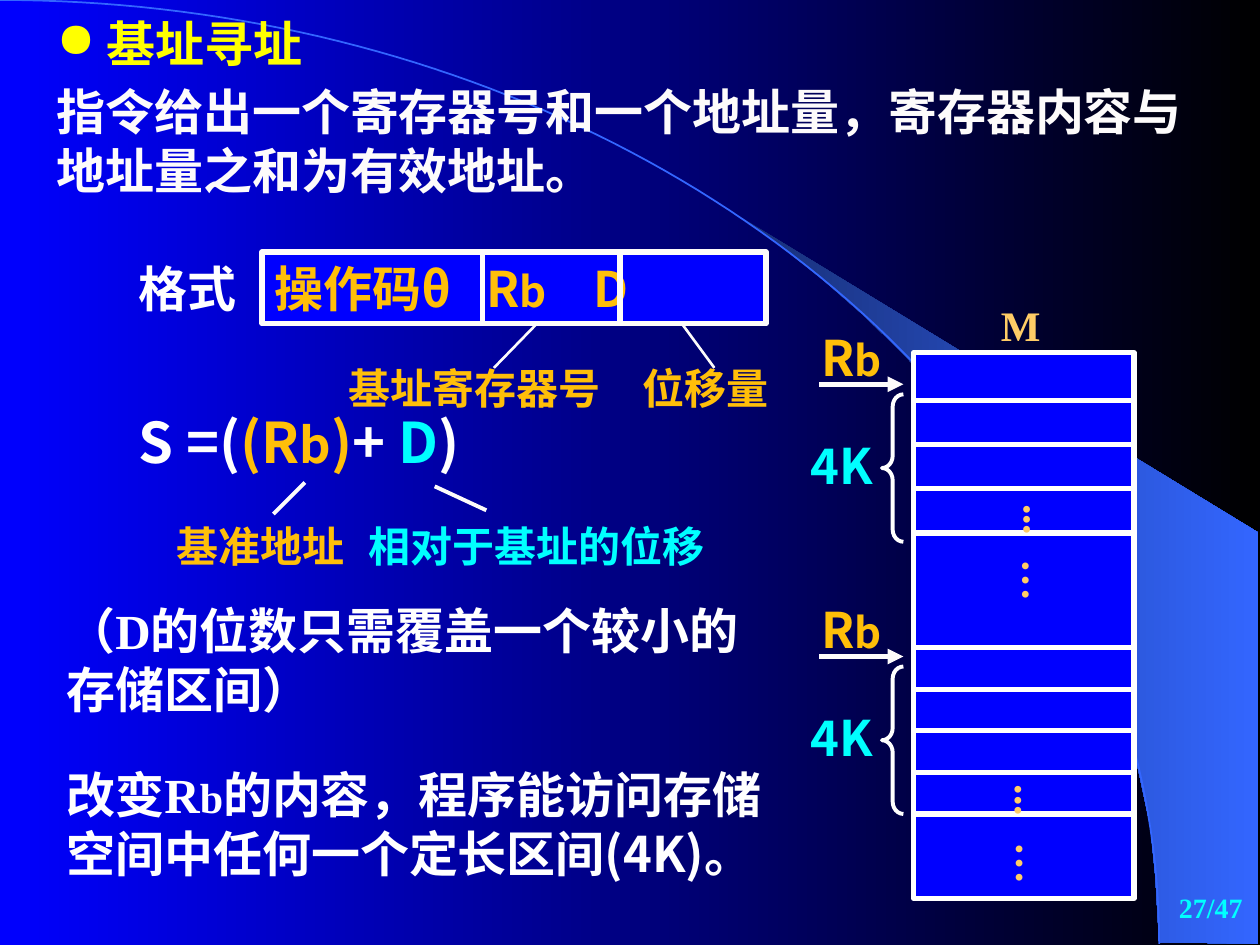
import math

import pptx
import pptx.dml.color
import pptx.enum.dml
import pptx.enum.shapes
import pptx.enum.text
import pptx.oxml.ns
import pptx.util
from lxml import etree

Inches = pptx.util.Inches
Pt = pptx.util.Pt
qn = pptx.oxml.ns.qn
Align = pptx.enum.text.PP_ALIGN
Anchor = pptx.enum.text.MSO_ANCHOR
AutoSize = pptx.enum.text.MSO_AUTO_SIZE
Preset = pptx.enum.shapes.MSO_SHAPE

COLORS = {
    "blue": "0000FF", "black": "000000", "navy": "182F76", "sky": "3366FF",
    "white": "FFFFFF", "line": "FDFBFB", "yellow": "FFFF00",
    "gold": "FFBF09", "sand": "FFCC66", "cyan": "00FFFF",
}
SANS = "Noto Sans CJK SC"
SERIF = "Times New Roman"
WEDGE = [
    (9.2, 7.48), (9.99, 7.49), (9.99, 4.23), (5.89, 1.73), (6.24, 1.99), (6.53, 2.22),
    (6.85, 2.5), (7.16, 2.8), (7.62, 3.3), (8.03, 3.84), (8.32, 4.31), (8.58, 4.79),
    (8.78, 5.28), (8.93, 5.72), (9.03, 6.09), (9.13, 6.56), (9.17, 6.96),
]
MEMORY_LEFT, MEMORY_RIGHT = 7.25, 9


def rgb(name):
    return pptx.dml.color.RGBColor.from_string(COLORS[name])


def set_gradient(fill, first, last):
    fill.gradient()
    fill.gradient_angle = 0
    for stop, name in zip(fill.gradient_stops, (first, last)):
        stop.color.rgb = rgb(name)


def set_line(shape, color, width):
    shape.line.color.rgb = rgb(color)
    shape.line.width = Pt(width)


def add_outline(slide, points, close):
    corners = [(Inches(x), Inches(y)) for x, y in points]
    builder = slide.shapes.build_freeform(*corners[0], scale=1.0)
    builder.add_line_segments(corners[1:], close=close)
    shape = builder.convert_to_shape()
    shape.shadow.inherit = False
    return shape


def add_line(slide, start, end, color="line", width=3, arrow=False):
    connector = slide.shapes.add_connector(
        pptx.enum.shapes.MSO_CONNECTOR.STRAIGHT, *map(Inches, start + end))
    set_line(connector, color, width)
    if arrow:
        etree.SubElement(connector.line._get_or_add_ln(), qn("a:tailEnd"), type="triangle")
    etree.SubElement(connector._element.spPr, qn("a:effectLst"))


def add_box(slide, box, preset=Preset.RECTANGLE, fill="blue", line="white", width=3):
    shape = slide.shapes.add_shape(preset, *map(Inches, box))
    shape.shadow.inherit = False
    if fill:
        shape.fill.solid()
        shape.fill.fore_color.rgb = rgb(fill)
    else:
        shape.fill.background()
    set_line(shape, line, width)
    return shape


def write_text(frame, runs, size=28, color="white", font=SERIF, align=Align.LEFT,
               spacing=None, bullet=None, tabs=()):
    """Fill a frame from a string or from (text, format changes) pairs."""
    frame.word_wrap = True
    paragraph = frame.paragraphs[0]
    paragraph.alignment = align
    if spacing:
        paragraph.line_spacing = spacing
    properties = paragraph._p.get_or_add_pPr()
    if bullet:
        bullet_color = etree.SubElement(properties, qn("a:buClr"))
        etree.SubElement(bullet_color, qn("a:srgbClr"), val=COLORS[color])
        etree.SubElement(properties, qn("a:buChar"), char=bullet)
    if tabs:
        tab_list = etree.SubElement(properties, qn("a:tabLst"))
        for position in tabs:
            etree.SubElement(tab_list, qn("a:tab"), pos=str(Inches(position)), algn="l")
    for text, changes in [(runs, {})] if isinstance(runs, str) else runs:
        run = paragraph.add_run()
        run.text = text
        run.font.bold = True
        run.font.size = Pt(changes.get("size", size))
        run.font.color.rgb = rgb(changes.get("color", color))
        run.font.name = changes.get("font", font)
        etree.SubElement(run.font._element, qn("a:ea"), typeface=SANS)


def add_text(slide, box, runs, anchor=Anchor.TOP, vertical=False, **text_format):
    frame = slide.shapes.add_textbox(*map(Inches, box)).text_frame
    frame.vertical_anchor = anchor
    frame.auto_size = AutoSize.SHAPE_TO_FIT_TEXT if anchor == Anchor.TOP else AutoSize.NONE
    if vertical:
        frame._txBody.bodyPr.set("vert", "eaVert")
        frame.margin_left = frame.margin_right = Inches(0.05)
        frame.margin_top = frame.margin_bottom = Inches(0.1)
    write_text(frame, runs, **text_format)


def add_backdrop(slide):
    set_gradient(slide.background.fill, "blue", "black")
    wedge = add_outline(slide, WEDGE, close=True)
    set_gradient(wedge.fill, "navy", "sky")
    wedge.line.fill.background()
    steps = 90
    angles = [math.pi / 2 * step / steps for step in range(steps + 1)]
    arc = add_outline(
        slide, [(9.2 * math.sin(a), 7.49 * (1 - math.cos(a))) for a in angles], close=False)
    arc.fill.background()
    set_line(arc, "sky", 1)


def add_instruction_format(slide):
    add_text(slide, (1, 2, 1.17, 0.57), "格式")
    fields = add_box(slide, (2.08, 2, 4, 0.57), line="line")
    fields.text_frame.vertical_anchor = Anchor.TOP
    write_text(fields.text_frame,
               [("操作码", {"font": SERIF}), ("θ\tR", {}), ("b", {"size": 24}), ("\tD", {})],
               color="gold", font=SANS, tabs=(1.68, 2.53))
    for x in (3.83, 4.92):
        add_line(slide, (x, 2), (x, 2.58))
    add_line(slide, (4.25, 2.58), (3.92, 2.92), width=1.5)
    add_line(slide, (5.42, 2.58), (5.67, 2.92), width=1.5)
    label = {"size": 24, "font": SANS, "color": "gold"}
    add_text(slide, (2.67, 2.83, 2.33, 0.5), "基址寄存器号", **label)
    add_text(slide, (5, 2.83, 1.58, 0.5), "位移量", **label)


def add_formula(slide):
    gold = {"color": "gold"}
    add_text(slide, (1, 3.33, 3.58, 0.48),
             [("S =(", {}), ("(R", gold), ("b", {"color": "gold", "size": 28}), (")", gold),
              ("+ ", {}), ("D", {"color": "cyan"}), (")", {})],
             size=32, font=SANS, spacing=0.7)
    add_line(slide, (2.42, 3.83), (2.17, 4.08), width=2.25)
    add_line(slide, (3.45, 3.86), (3.86, 4.05), width=2.25)
    add_text(slide, (1.3, 4.08, 1.67, 0.5), "基准地址", size=24, font=SANS, color="gold")
    add_text(slide, (2.83, 4.08, 3.25, 0.5), "相对于基址的位移", size=24, font=SANS, color="cyan")


def add_segment(slide, top):
    """Mark one 4K stretch of memory with its base register."""
    add_text(slide, (6.42, top, 0.92, 0.57), [("R", {}), ("b", {"size": 24})],
             color="gold", font=SANS)
    add_line(slide, (6.5, top + 0.5), (7.17, top + 0.5), arrow=True)
    brace = add_box(slide, (7, top + 0.58, 0.17, 1.17), Preset.LEFT_BRACE, fill=None, width=2.25)
    brace.adjustments[0] = 0.57
    add_text(slide, (6.25, top + 0.86, 1, 0.57), " 4K", color="cyan", font=SANS)


def add_memory(slide):
    add_box(slide, (MEMORY_LEFT, 2.8, MEMORY_RIGHT - MEMORY_LEFT, 4.33))
    add_text(slide, (7.52, 2.33, 1.08, 0.5), " M", size=24, color="sand", align=Align.CENTER)
    for first, step, count in ((3.18, 0.35, 4), (5.14, 0.33, 5)):
        for row in range(count):
            y = first + row * step
            add_line(slide, (MEMORY_LEFT, y), (MEMORY_RIGHT, y), color="white")
    for x, y, height, dots in ((7.91, 3.9, 0.58, "..."), (7.84, 6.13, 0.58, "..."),
                               (7.9, 4.34, 0.42, "…"), (7.85, 6.59, 0.5, "…")):
        add_text(slide, (x, y, 0.6, height), dots, vertical=True, size=24, color="sand")
    for top in (2.55, 4.71):
        add_segment(slide, top)


def main():
    presentation = pptx.Presentation()
    presentation.slide_width, presentation.slide_height = Inches(10), Inches(7.5)
    slide = presentation.slides.add_slide(presentation.slide_layouts[6])
    add_backdrop(slide)
    add_text(slide, (0.35, 0.06, 2.28, 0.57), " 基址寻址", color="yellow", bullet="●")
    add_text(slide, (0.35, 0.6, 9.46, 1.04),
             "指令给出一个寄存器号和一个地址量，寄存器内容与地址量之和为有效地址。", color="line")
    add_instruction_format(slide)
    add_formula(slide)
    add_text(slide, (0.43, 4.72, 5.82, 1.04), "（D的位数只需覆盖一个较小的存储区间）")
    add_memory(slide)
    add_text(slide, (0.43, 6.02, 5.82, 1.5),
             [("改变R", {}), ("b", {"size": 24}),
              ("的内容，程序能访问存储空间中任何一个定长区间", {}), ("(4K)。", {"font": SANS})])
    add_text(slide, (7.88, 6.95, 2.08, 0.5), "27/47", anchor=Anchor.MIDDLE,
             size=16, color="cyan", align=Align.RIGHT)
    presentation.save("out.pptx")


if __name__ == "__main__":
    main()
